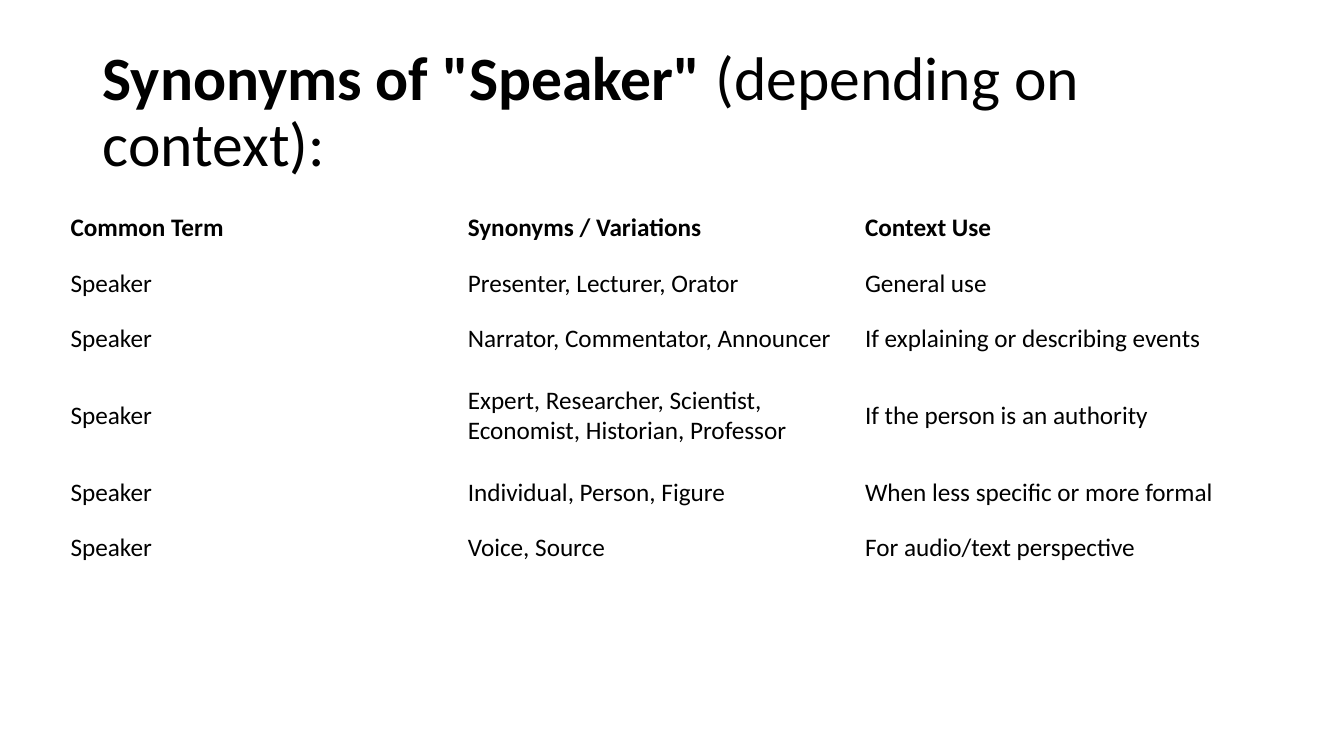
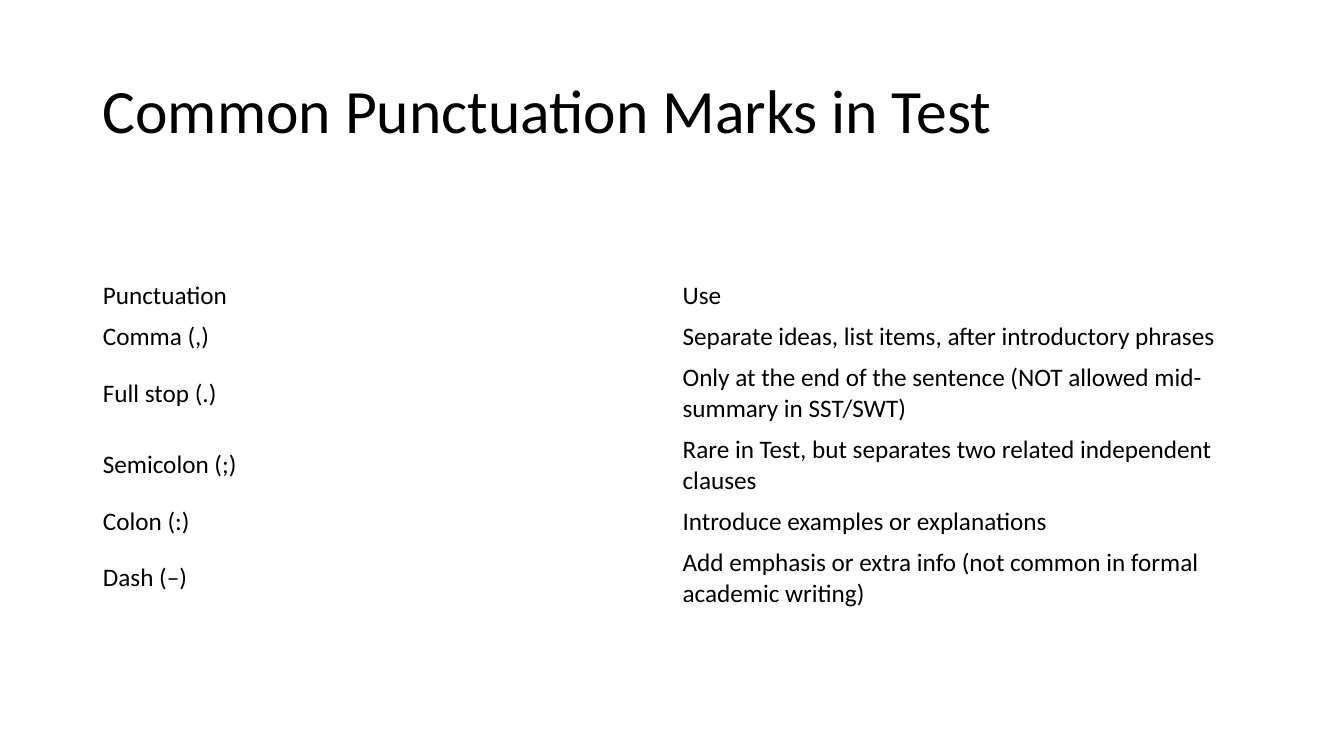
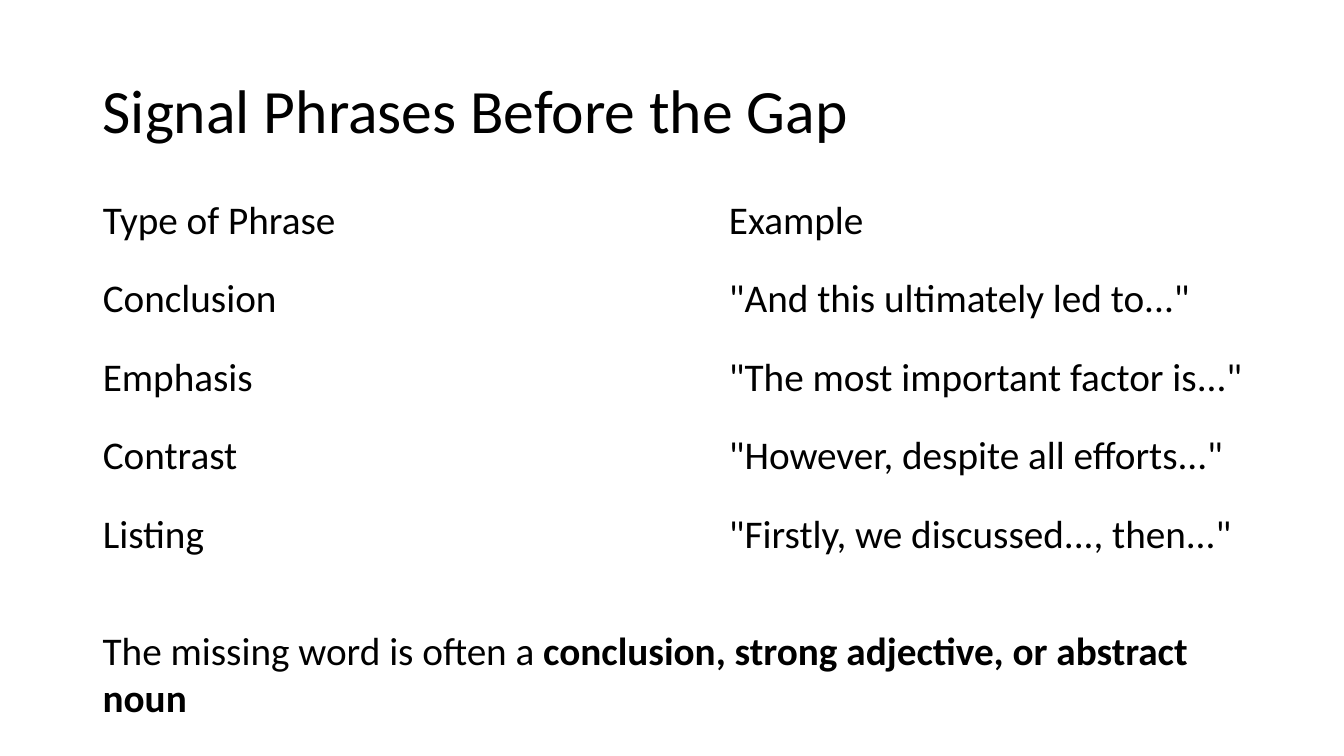
from pptx import Presentation
from pptx.dml.color import RGBColor
from pptx.enum import text
from pptx.util import Inches, Pt

BLACK = RGBColor(0, 0, 0)
FONT = "Calibri"
TITLE_BOX = (0.92, 0.4, 11.5, 1.45)
NOTE_BOX = (0.92, 6.16, 11.5, 1.04)
MIDDLE = text.MSO_ANCHOR.MIDDLE

SLIDES = [
    {
        "title": [('Synonyms of "Speaker"', True), (" (depending on context):", False)],
        "at": (0.6, 1.99),
        "col": 3.94,
        "heights": [0.55, 0.55, 0.55, 0.97, 0.55, 0.55],
        "size": 18,
        "bold_header": True,
        "rows": [
            ("Common Term", "Synonyms / Variations", "Context Use"),
            ("Speaker", "Presenter, Lecturer, Orator", "General use"),
            ("Speaker", "Narrator, Commentator, Announcer", "If explaining or describing events"),
            ("Speaker", "Expert, Researcher, Scientist, Economist, Historian, Professor",
             "If the person is an authority"),
            ("Speaker", "Individual, Person, Figure", "When less specific or more formal"),
            ("Speaker", "Voice, Source", "For audio/text perspective"),
        ],
    },
    {
        "title": [("Common Punctuation Marks in Test", False)],
        "at": (0.92, 2.73),
        "col": 5.75,
        "heights": [0.41, 0.41, 0.71, 0.71, 0.41, 0.71],
        "size": 18,
        "rows": [
            ("Punctuation", "Use"),
            ("Comma (,)", "Separate ideas, list items, after introductory phrases"),
            ("Full stop (.)", "Only at the end of the sentence (NOT allowed mid-summary in SST/SWT)"),
            ("Semicolon (;)", "Rare in Test, but separates two related independent clauses"),
            ("Colon (:)", "Introduce examples or explanations"),
            ("Dash (–)", "Add emphasis or extra info (not common in formal academic writing)"),
        ],
    },
    {
        "title": [("Signal Phrases Before the Gap", False)],
        "at": (0.92, 1.8),
        "col": 6.21,
        "heights": [0.78] * 5,
        "size": 28,
        "rows": [
            ("Type of Phrase", "Example"),
            ("Conclusion", '"And this ultimately led to..."'),
            ("Emphasis", '"The most important factor is..."'),
            ("Contrast", '"However, despite all efforts..."'),
            ("Listing", '"Firstly, we discussed..., then..."'),
        ],
        "note": [("The missing word is often a ", False),
                 ("conclusion, strong adjective, or abstract noun", True)],
    },
]


def add_runs(p, runs, size):
    for words, bold in runs:
        r = p.add_run()
        r.text = words
        for name, value in {"name": FONT, "size": Pt(size), "bold": bold}.items():
            setattr(r.font, name, value)
        r.font.color.rgb = BLACK


def add_text(s, box, runs, size, anchor, spacing):
    tf = s.shapes.add_textbox(*map(Inches, box)).text_frame
    tf.word_wrap = True
    tf.vertical_anchor = anchor
    p = tf.paragraphs[0]
    p.line_spacing = spacing
    add_runs(p, runs, size)


def add_grid(s, data):
    rows, heights = data["rows"], data["heights"]
    cols = len(rows[0])
    extent = (*data["at"], data["col"] * cols, sum(heights))
    table = s.shapes.add_table(len(rows), cols, *map(Inches, extent)).table
    table.first_row = table.horz_banding = False
    for col in table.columns:
        col.width = Inches(data["col"])
    for i, (row, height) in enumerate(zip(rows, heights)):
        table.rows[i].height = Inches(height)
        for j, words in enumerate(row):
            cell = table.cell(i, j)
            cell.fill.background()
            cell.vertical_anchor = MIDDLE
            bold = i == 0 and data.get("bold_header", False)
            add_runs(cell.text_frame.paragraphs[0], [(words, bold)], data["size"])


def main():
    prs = Presentation()
    prs.slide_width, prs.slide_height = Inches(13.33), Inches(7.5)
    for data in SLIDES:
        s = prs.slides.add_slide(prs.slide_layouts[6])
        add_text(s, TITLE_BOX, data["title"], 44, MIDDLE, 0.9)
        add_grid(s, data)
        if "note" in data:
            add_text(s, NOTE_BOX, data["note"], 28, text.MSO_ANCHOR.TOP, 1.0)
    prs.save("out.pptx")


if __name__ == "__main__":
    main()
